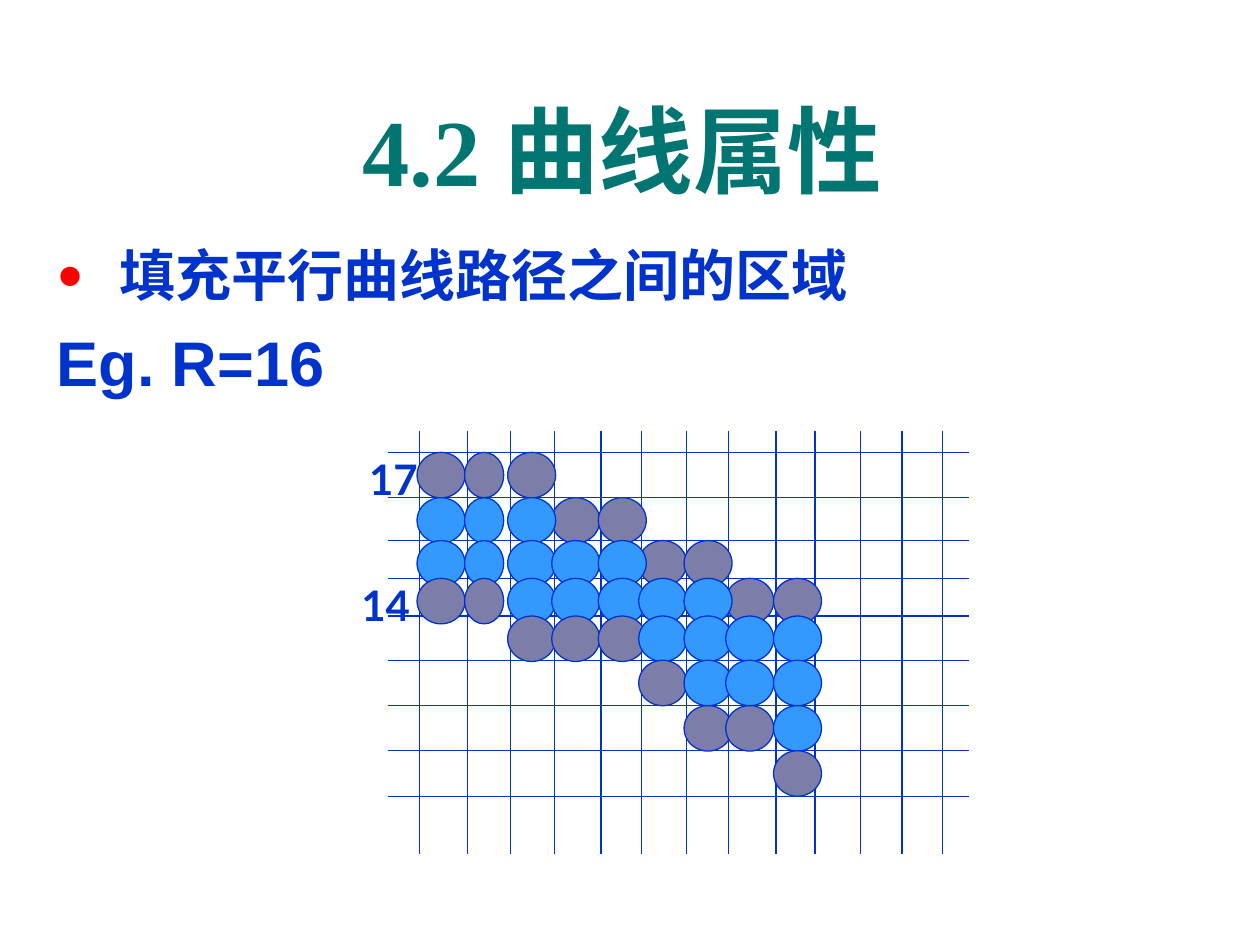
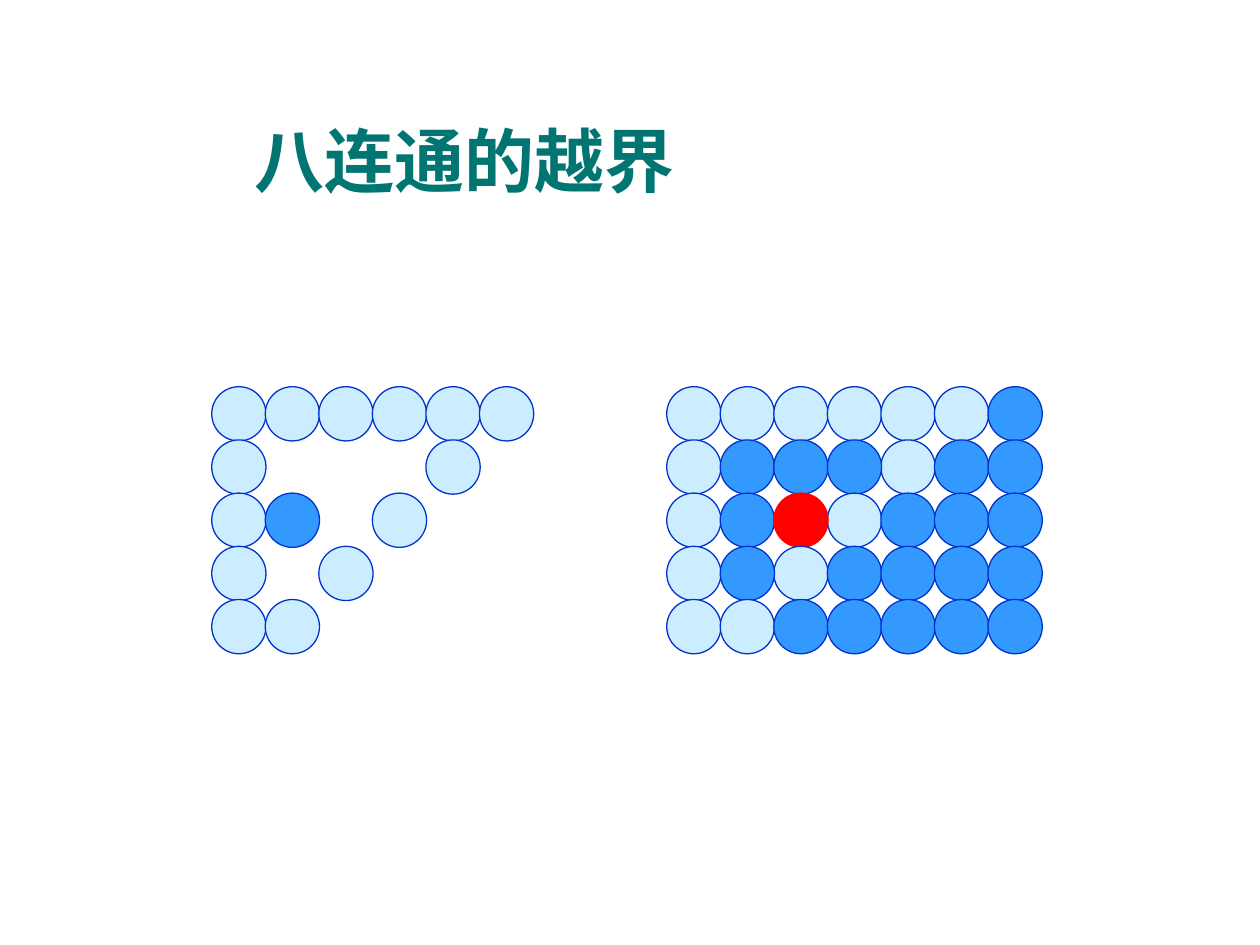
import pptx
import pptx.util
import pptx.dml.color
import pptx.enum.shapes
import pptx.enum.text
import pptx.oxml.ns
from dataclasses import dataclass
from lxml import etree

Pt = pptx.util.Pt
RGB = pptx.dml.color.RGBColor.from_string
qn = pptx.oxml.ns.qn
ALIGN = pptx.enum.text.PP_ALIGN


@dataclass(frozen=True)
class Theme:
    heading: str = "007572"
    ink: str = "0033CC"
    fill: str = "3399FF"
    edge: str = "7D7DA9"
    boundary: str = "CCECFF"
    seed: str = "FF0000"
    serif: str = "Times New Roman"
    sans: str = "Arial"
    digits: str = "Lato"
    chinese: str = "Noto Sans CJK SC"
    chapter_size: int = 54
    section_size: int = 40
    bullet_size: int = 32
    example_size: int = 36
    label_size: int = 24
    line_width: float = 0.75
    hanging: int = 36

    def pixel_colour(self, symbol):
        return {"e": self.edge, "b": self.boundary,
                "f": self.fill, "s": self.seed}[symbol]


# Pixel maps: e edge, f filled, b boundary, s seed, dot for an empty cell
THICK_CURVE = ["eee",
               "fffee",
               "fffffee",
               "eefffffee",
               "..eeeffff",
               ".....efff",
               "......eef",
               "........e"]

BEFORE_FILL = ["bbbbbb",
               "b...b",
               "bf.b",
               "b.b",
               "bb"]

AFTER_FILL = ["bbbbbbf",
              "bfffbff",
              "bfsbfff",
              "bfbffff",
              "bbfffff"]

# Grid lines of the thick curve, which also place its pixels
GRID_COLUMNS = [239.8, 267, 291.6, 316.8, 343.4, 366.5, 392.4,
                416.2, 443.5, 465.8, 491.8, 515.5, 538.6]
GRID_ROWS = [258.5, 284.4, 308.9, 330.5, 352, 377.3, 403.2, 429, 455]
GRID_LEFT, GRID_RIGHT = 221.8, 553.7
GRID_TOP, GRID_BOTTOM = 246.2, 488


def steps(start, pitch, count):
    return [start + pitch * i for i in range(count)]


class Deck:
    """Holds the theme, the current slide and the current figure."""

    def __init__(self, theme):
        self.theme = theme
        self.prs = pptx.Presentation()
        self.prs.slide_width, self.prs.slide_height = Pt(720), Pt(540)

    def new_slide(self, layout):
        self.slide = self.prs.slides.add_slide(self.prs.slide_layouts[layout])

    def new_figure(self):
        self.figure = self.slide.shapes.add_group_shape().shapes

    # Text
    def style_run(self, run, size, font, colour):
        run.font.size, run.font.name, run.font.bold = Pt(size), font, True
        run.font.color.rgb = RGB(colour)
        east_asian = etree.SubElement(run.font._element, qn("a:ea"))
        east_asian.set("typeface", self.theme.chinese)

    def place(self, holder, left, top, width, height):
        holder.left, holder.top = Pt(left), Pt(top)
        holder.width, holder.height = Pt(width), Pt(height)
        holder.text_frame.auto_size = pptx.enum.text.MSO_AUTO_SIZE.NONE

    def title(self, parts, box, size, align):
        """Each part is a pair of text and font."""
        heading = self.slide.shapes.title
        self.place(heading, *box)
        heading.text_frame.vertical_anchor = pptx.enum.text.MSO_ANCHOR.MIDDLE
        line = heading.text_frame.paragraphs[0]
        line.alignment = align
        for text, font in parts:
            run = line.add_run()
            run.text = text
            self.style_run(run, size, font, self.theme.heading)

    def body(self, items, box):
        """Each item is a tuple of text, size, space before and bulleted."""
        holder = self.slide.placeholders[1]
        self.place(holder, *box)
        frame = holder.text_frame
        frame.text = "\n".join(text for text, *_ in items)
        for line, (_, size, before, bulleted) in zip(frame.paragraphs, items):
            line.space_before = Pt(before)
            self.bullet(line, bulleted)
            self.style_run(line.runs[0], size, self.theme.sans, self.theme.ink)

    def bullet(self, line, bulleted):
        props = line._p.get_or_add_pPr()
        props.set("marL", str(Pt(self.theme.hanging)))
        props.set("indent", str(-Pt(self.theme.hanging)))
        if not bulleted:
            etree.SubElement(props, qn("a:buNone"))
            return
        colour = etree.SubElement(props, qn("a:buClr"))
        etree.SubElement(colour, qn("a:srgbClr")).set("val", self.theme.seed)
        etree.SubElement(props, qn("a:buSzPct")).set("val", "80000")
        etree.SubElement(props, qn("a:buChar")).set("char", "●")

    def label(self, text, left, top):
        box = self.figure.add_textbox(Pt(left), Pt(top), Pt(42.5), Pt(36))
        box.text_frame.word_wrap = False
        box.text_frame.text = text
        self.style_run(box.text_frame.paragraphs[0].runs[0],
                       self.theme.label_size, self.theme.digits, self.theme.ink)

    # Drawing
    def grid_line(self, x1, y1, x2, y2):
        line = self.figure.add_connector(
            pptx.enum.shapes.MSO_CONNECTOR.STRAIGHT, Pt(x1), Pt(y1), Pt(x2), Pt(y2))
        line.line.color.rgb = RGB(self.theme.ink)
        line.line.width = Pt(self.theme.line_width)
        etree.SubElement(line._element.spPr, qn("a:effectLst"))

    def pixel(self, symbol, left, top, width, height):
        dot = self.figure.add_shape(
            pptx.enum.shapes.MSO_SHAPE.OVAL, Pt(left), Pt(top), Pt(width), Pt(height))
        dot.shadow.inherit = False
        dot.fill.solid()
        dot.fill.fore_color.rgb = RGB(self.theme.pixel_colour(symbol))
        outline = self.theme.seed if symbol == "s" else self.theme.ink
        dot.line.color.rgb = RGB(outline)
        dot.line.width = Pt(self.theme.line_width)

    def pixel_map(self, pattern, lefts, tops, widths, height):
        """Draw each row in alphabetical order, so fills overlap edges."""
        for top, row in zip(tops, pattern):
            for symbol, left, width in sorted(zip(row, lefts, widths)):
                if symbol != ".":
                    self.pixel(symbol, left, top, width, height)

    def region(self, pattern, left, top):
        """Draw a map of equal round pixels on a regular grid."""
        columns, rows, size = len(pattern[0]), len(pattern), 31
        self.new_figure()
        self.pixel_map(pattern, steps(left, 30.6, columns),
                       steps(top, 30.4, rows), [size] * columns, size)


def curve_slide(deck):
    theme = deck.theme
    deck.new_slide(1)
    deck.title([("4.2 ", theme.serif), ("曲线属性", theme.chinese)],
               (19.4, 49, 672.5, 72), theme.chapter_size, ALIGN.CENTER)
    deck.body([("填充平行曲线路径之间的区域", theme.bullet_size, 0, True),
               ("Eg. R=16", theme.example_size, 9, False)],
              (25.2, 133.9, 672.5, 97.9))

    # Grid
    deck.new_figure()
    for x in GRID_COLUMNS:
        deck.grid_line(x, GRID_TOP, x, GRID_BOTTOM)
    for y in GRID_ROWS:
        deck.grid_line(GRID_LEFT, y, GRID_RIGHT, y)

    # Thick curve: each pixel starts just left of its grid column
    lefts = [x - 1.5 for x in GRID_COLUMNS]
    widths = [27.4] * len(lefts)
    widths[1] = 22.3  # the second column is narrow
    deck.pixel_map(THICK_CURVE, lefts, GRID_ROWS, widths, 26)

    # Radius of the outer and inner edge, beside their rows
    for radius, row, left in [("17", 0, 203.8), ("14", 3, 199.4)]:
        deck.label(radius, left, GRID_ROWS[row] - 2.9)


def overflow_slide(deck):
    deck.new_slide(5)
    deck.title([("八连通的越界", deck.theme.serif)],
               (138.2, 63.4, 377.3, 55.4), deck.theme.section_size, ALIGN.LEFT)
    deck.region(AFTER_FILL, 381, 221)
    deck.region(BEFORE_FILL, 121, 221)


def main():
    deck = Deck(Theme())
    curve_slide(deck)
    overflow_slide(deck)
    deck.prs.save("out.pptx")


if __name__ == "__main__":
    main()
